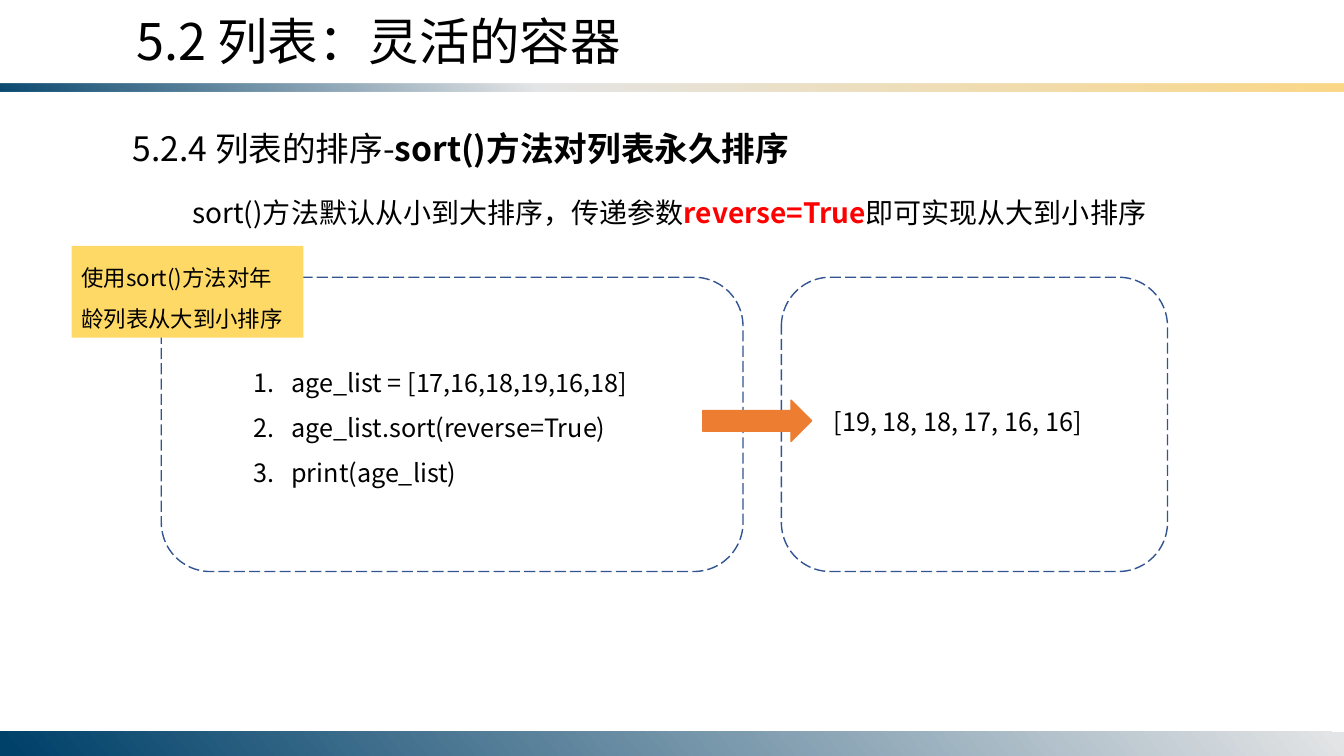
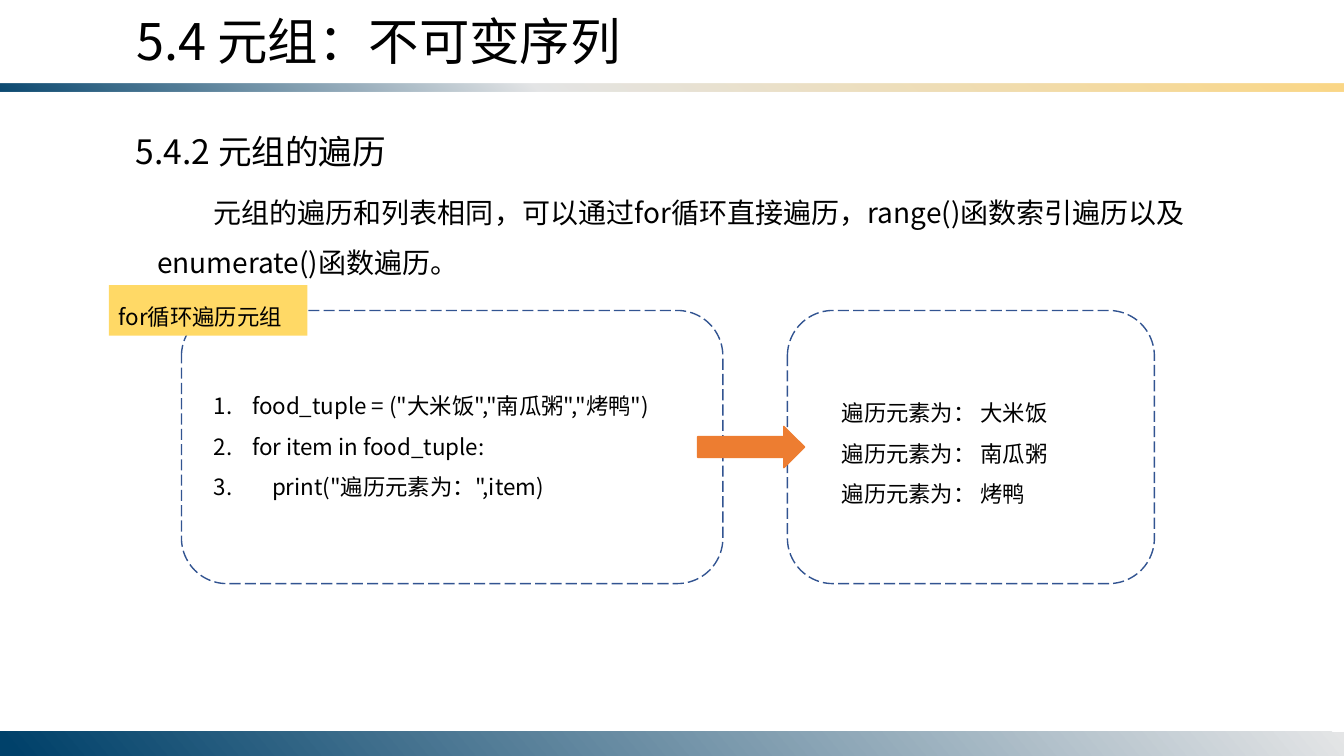
from dataclasses import dataclass

from lxml import etree
from pptx import Presentation
from pptx.dml.color import RGBColor
from pptx.enum.dml import MSO_LINE
from pptx.enum.shapes import MSO_SHAPE
from pptx.enum.text import MSO_ANCHOR, MSO_AUTO_SIZE, PP_ALIGN
from pptx.oxml.ns import qn
from pptx.util import Inches, Pt

RECT = MSO_SHAPE.RECTANGLE
ROUND = MSO_SHAPE.ROUNDED_RECTANGLE
ARROW = MSO_SHAPE.RIGHT_ARROW
DASH = MSO_LINE.LONG_DASH
LEFT = PP_ALIGN.LEFT
TOP = MSO_ANCHOR.TOP
FIXED = MSO_AUTO_SIZE.NONE


@dataclass(frozen=True)
class Theme:
    font: str = "Noto Sans CJK SC"
    ink: str = "000000"
    red: str = "FF0000"
    edge: str = "325491"
    arrow: str = "ED7D31"
    label: str = "FFD966"
    navy: str = "00416A"
    mist: str = "E4E5E6"
    gold: str = "FBD786"
    title: int = 36
    head: int = 24
    lead: int = 20
    code: int = 18
    small: int = 16


T = Theme()
WIDE, HIGH = 13.33, 7.5
TITLE_AT = (1.25, 0.05, 6.12, 0.71)
HANG = 0.38   # hanging indent of numbered code
FIRST = 0.56  # first line indent of the lead text


def place(shape, at):
    shape.left, shape.top, shape.width, shape.height = map(Inches, at)


def number(para):
    """Number a paragraph with a hanging indent."""
    props = para._p.get_or_add_pPr()
    props.set("marL", str(Inches(HANG)))
    props.set("indent", str(-Inches(HANG)))
    etree.SubElement(props, qn("a:buFont"), typeface=T.font)
    etree.SubElement(props, qn("a:buAutoNum"), type="arabicPeriod")


def write(shape, paras, size, space=1.0, first=0, count=False):
    """Fill a shape with paragraphs; each is a list of (text, colour, bold)."""
    frame = shape.text_frame
    frame.word_wrap = True
    frame.auto_size = FIXED
    frame.vertical_anchor = TOP
    for i, parts in enumerate(paras):
        para = frame.add_paragraph() if i else frame.paragraphs[0]
        para.alignment = LEFT
        para.line_spacing = space
        para.space_before = Pt(0)
        if count:
            number(para)
        elif first:
            para._p.get_or_add_pPr().set("indent", str(Inches(first)))
        for text, color, bold in parts:
            run = para.add_run()
            run.text = text
            font = run.font
            font.name, font.size, font.bold = T.font, Pt(size), bold
            font.color.rgb = RGBColor.from_string(color)
            etree.SubElement(font._element, qn("a:ea"), typeface=T.font)


def plain(*lines):
    return [[(line, T.ink, False)] for line in lines]


def note(slide, at, paras, size, **style):
    box = slide.shapes.add_textbox(*map(Inches, at))
    write(box, paras, size, **style)


def block(slide, kind, at, fill=None, line=None, dash=None):
    shape = slide.shapes.add_shape(kind, *map(Inches, at))
    shape.shadow.inherit = False
    if fill:
        shape.fill.solid()
        shape.fill.fore_color.rgb = RGBColor.from_string(fill)
    else:
        shape.fill.background()
    if line:
        shape.line.color.rgb = RGBColor.from_string(line)
        shape.line.width = Pt(1)
        shape.line.dash_style = dash
    else:
        shape.line.fill.background()
    return shape


def band(slide, layout, at, stops, angle, flip=False):
    """Draw a gradient band and move it to the layout."""
    shape = block(slide, RECT, at)
    shape.fill.gradient()
    shape.fill.gradient_angle = 360 - angle
    props = shape._element.spPr
    if flip:
        props.find(qn("a:xfrm")).set("flipV", "1")
    ramp = props.find(qn("a:gradFill")).find(qn("a:gsLst"))
    for old in list(ramp):
        ramp.remove(old)
    for pos, color, alpha in stops:
        stop = etree.SubElement(ramp, qn("a:gs"), pos=str(pos * 1000))
        tint = etree.SubElement(stop, qn("a:srgbClr"), val=color)
        if alpha < 100:
            etree.SubElement(tint, qn("a:alpha"), val=str(alpha * 1000))
    layout.shapes.element.append(shape._element)


def frame_up(slide, layout):
    """Set the shared title place and the two bands."""
    for holder in list(layout.placeholders):
        if holder.placeholder_format.idx > 1:
            holder.element.getparent().remove(holder.element)
    place(layout.placeholders[0], TITLE_AT)
    band(slide, layout, (0, 0.83, WIDE, 0.08),
         [(0, T.navy, 95), (40, T.mist, 100), (100, T.gold, 100)], 50, True)
    band(slide, layout, (0, 7.26, WIDE, 0.24),
         [(0, T.mist, 100), (99, T.navy, 100)], 140)


def opening(slide, title, head, head_at, lead, lead_at):
    write(slide.shapes.title, plain(title), T.title)
    note(slide, head_at, head, T.head)
    note(slide, lead_at, lead, T.lead, space=1.5, first=FIRST)


def sample(slide, code, code_at, out, out_at, size, boxes, arrow, tag, tag_at):
    """Show code and its result in dashed boxes, with arrow and label."""
    body = slide.placeholders[1]
    place(body, code_at)
    write(body, plain(*code), size, space=1.5, count=True)
    note(slide, out_at, plain(*out), size, space=1.5)
    for at in boxes:
        block(slide, ROUND, at, line=T.edge, dash=DASH)
    block(slide, ARROW, arrow, fill=T.arrow, line=T.arrow)
    label = block(slide, RECT, tag_at, fill=T.label)
    write(label, plain(tag), T.small, space=1.5)


def main():
    deck = Presentation()
    deck.slide_width, deck.slide_height = Inches(WIDE), Inches(HIGH)
    layout = deck.slide_layouts[1]

    # Sorting a list
    slide = deck.slides.add_slide(layout)
    frame_up(slide, layout)
    opening(
        slide, "5.2 列表：灵活的容器",
        [[("5.2.4 列表的排序-", T.ink, False),
          ("sort()方法对列表永久排序", T.ink, True)]],
        (1.22, 1.22, 8.25, 0.5),
        [[("sort()方法默认从小到大排序，传递参数", T.ink, False),
          ("reverse=True", T.red, True),
          ("即可实现从大到小排序", T.ink, False)]],
        (1.25, 1.72, 11.21, 0.6))
    sample(
        slide,
        code=["age_list = [17,16,18,19,16,18]", "age_list.sort(reverse=True)",
              "print(age_list)"],
        code_at=(2.41, 3.44, 4.16, 1.46),
        out=["[19, 18, 18, 17, 16, 16]"], out_at=(8.17, 3.83, 2.98, 0.55),
        size=T.code,
        boxes=[(1.6, 2.75, 5.77, 2.92), (7.75, 2.75, 3.83, 2.92)],
        arrow=(6.97, 3.97, 1.08, 0.41),
        tag="使用sort()方法对年龄列表从大到小排序",
        tag_at=(0.71, 2.44, 2.3, 0.91))

    # Walking through a tuple
    slide = deck.slides.add_slide(layout)
    opening(
        slide, "5.4 元组：不可变序列",
        plain("5.4.2 元组的遍历"), (1.25, 1.25, 5.51, 0.5),
        plain("元组的遍历和列表相同，可以通过for循环直接遍历，"
              "range()函数索引遍历以及enumerate()函数遍历。"),
        (1.46, 1.72, 10.7, 1.11))
    foods = ["大米饭", "南瓜粥", "烤鸭"]
    sample(
        slide,
        code=['food_tuple = ("大米饭","南瓜粥","烤鸭")',
              "for item in food_tuple:", '    print("遍历元素为：",item)'],
        code_at=(2.02, 3.71, 4.89, 1.31),
        out=[f"遍历元素为： {food}" for food in foods],
        out_at=(8.25, 3.78, 2.66, 1.31),
        size=T.small,
        boxes=[(1.8, 3.08, 5.37, 2.71), (7.81, 3.08, 3.64, 2.71)],
        arrow=(6.92, 4.23, 1.06, 0.41),
        tag="for循环遍历元组", tag_at=(1.08, 2.83, 1.97, 0.5))

    deck.save("out.pptx")


if __name__ == "__main__":
    main()
